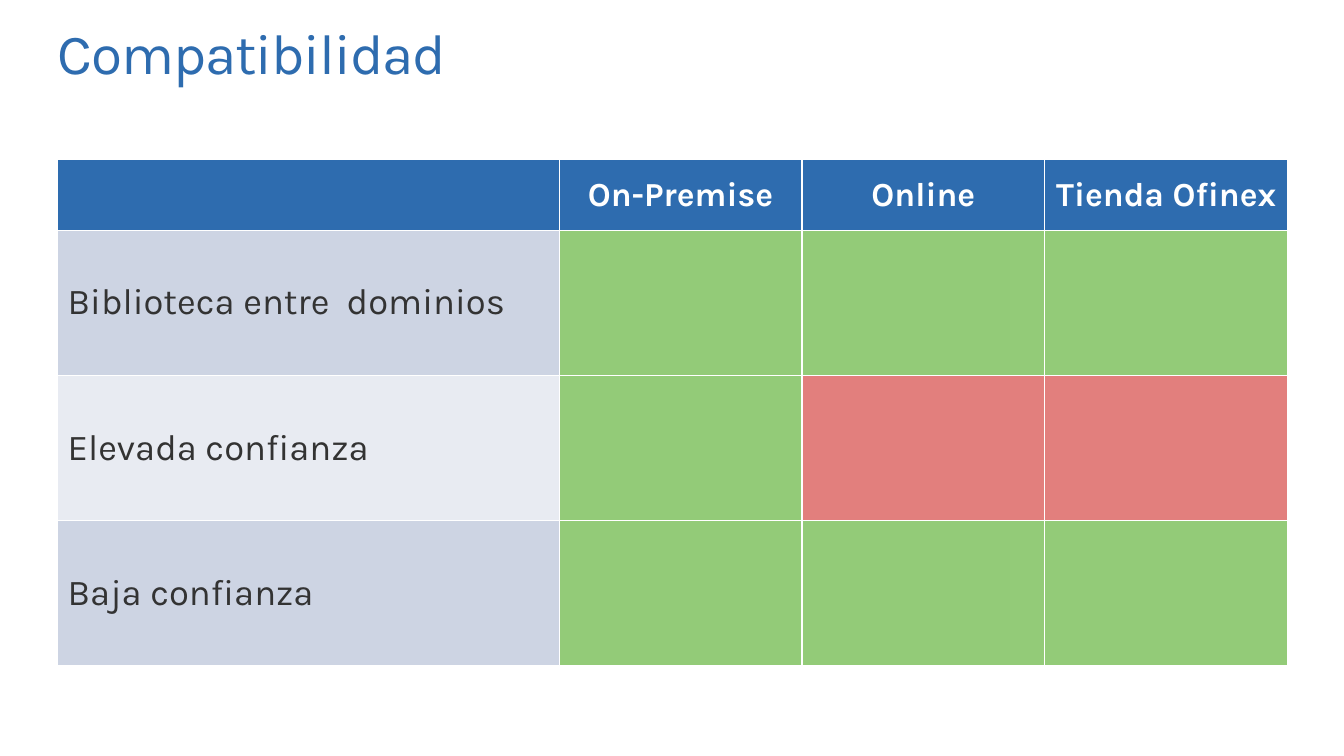
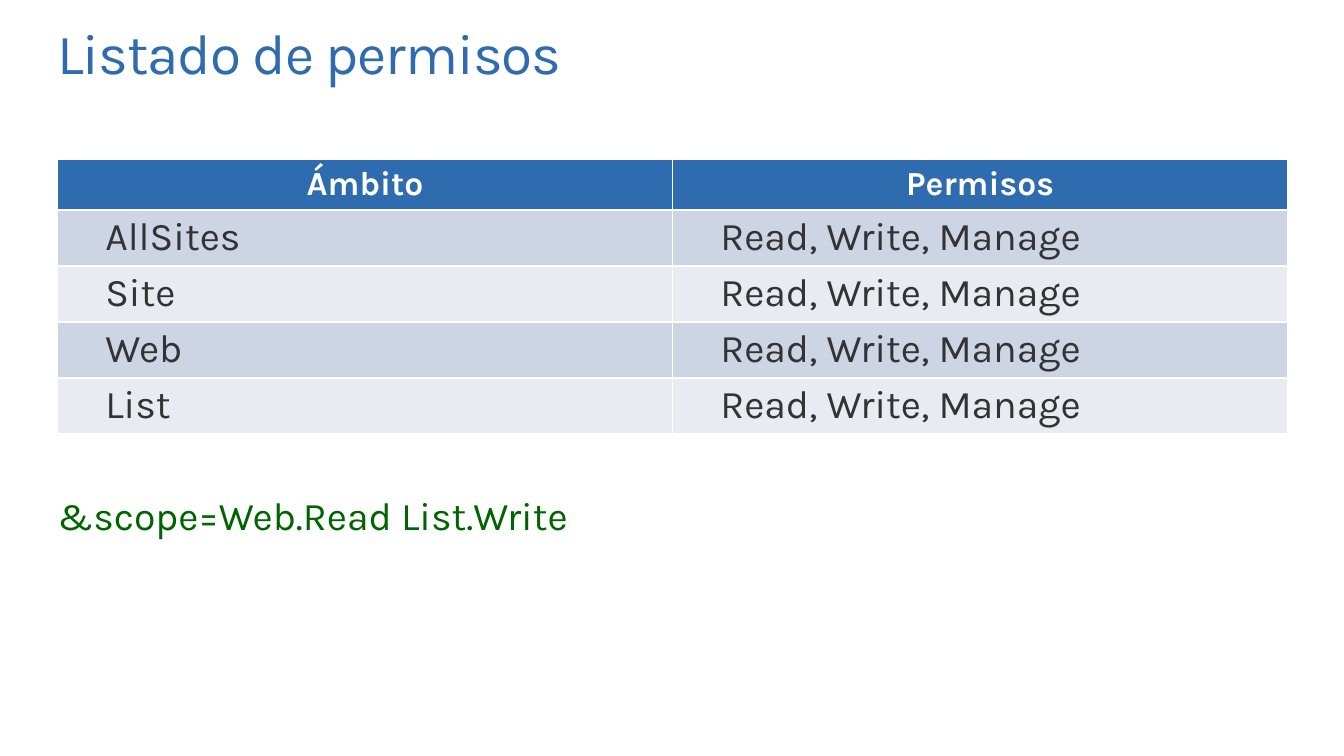
from dataclasses import dataclass

from pptx import Presentation
from pptx.dml.color import RGBColor
from pptx.enum import text
from pptx.util import Cm, Pt


@dataclass(frozen=True)
class Theme:
    font: str = "Karla"
    blue: str = "2E6CAF"
    white: str = "FFFFFF"
    ink: str = "333333"
    code: str = "006400"
    bands: tuple = ("CDD4E3", "E8EBF2")
    supported: str = "93CB78"
    unsupported: str = "E27F7D"
    title_size: float = 40.5
    header_size: float = 24
    label_size: float = 26
    body_size: float = 28


LEFT, WIDTH = 1.45, 31
TITLE_TOP, TITLE_HEIGHT = 0.64, 2.08
TABLE_TOP = 4.02


class Deck:
    def __init__(self, theme):
        self.theme = theme
        self.presentation = Presentation()
        self.presentation.slide_width = Cm(33.87)
        self.presentation.slide_height = Cm(19.05)
        self.slide = None

    def style(self, paragraph, size, color, bold=False):
        font = paragraph.font
        font.name = self.theme.font
        font.size = Pt(size)
        font.bold = bold
        font.color.rgb = RGBColor.from_string(color)

    def plain_frame(self, frame):
        """Wrap from the top, without margins or resizing."""
        frame.margin_left = frame.margin_right = 0
        frame.margin_top = frame.margin_bottom = 0
        frame.word_wrap = True
        frame.auto_size = text.MSO_AUTO_SIZE.NONE
        frame.vertical_anchor = text.MSO_ANCHOR.TOP

    def add_slide(self, heading):
        layout = self.presentation.slide_layouts[5]
        self.slide = self.presentation.slides.add_slide(layout)
        title = self.slide.shapes.title
        title.left, title.top = Cm(LEFT), Cm(TITLE_TOP)
        title.width, title.height = Cm(WIDTH), Cm(TITLE_HEIGHT)
        self.plain_frame(title.text_frame)
        paragraph = title.text_frame.paragraphs[0]
        paragraph.alignment = text.PP_ALIGN.LEFT
        paragraph.line_spacing = 0.9
        run = paragraph.add_run()
        run.text = heading
        run._r.get_or_add_rPr().set("spc", "-80")
        self.style(paragraph, self.theme.title_size, self.theme.blue)

    def fill(self, cell, color):
        cell.fill.solid()
        cell.fill.fore_color.rgb = RGBColor.from_string(color)

    def set_cell(self, cell, words, size, color, bold=False, align=None, indent=0):
        cell.vertical_anchor = text.MSO_ANCHOR.MIDDLE
        paragraph = cell.text_frame.paragraphs[0]
        paragraph.text = words
        paragraph.alignment = align
        if indent:
            paragraph._p.get_or_add_pPr().set("marL", str(Cm(indent)))
        self.style(paragraph, size, color, bold)

    def add_table(self, headers, row_count, widths, header_height, row_height):
        """Add a table with its header filled in and its rows banded."""
        height = header_height + row_count * row_height
        table = self.slide.shapes.add_table(
            row_count + 1, len(headers), Cm(LEFT), Cm(TABLE_TOP), Cm(WIDTH), Cm(height)
        ).table
        for column, width in zip(table.columns, widths):
            column.width = Cm(width)
        for index, row in enumerate(table.rows):
            row.height = Cm(row_height if index else header_height)
            color = self.theme.bands[(index - 1) % 2] if index else self.theme.blue
            for cell in row.cells:
                self.fill(cell, color)
        for cell, header in zip(table.rows[0].cells, headers):
            if header:
                self.set_cell(cell, header, self.theme.header_size, self.theme.white,
                              bold=True, align=text.PP_ALIGN.CENTER)
        return table

    def add_code(self, words, top, height):
        box = self.slide.shapes.add_textbox(Cm(LEFT), Cm(top), Cm(WIDTH), Cm(height))
        self.plain_frame(box.text_frame)
        paragraph = box.text_frame.paragraphs[0]
        paragraph.text = words
        self.style(paragraph, self.theme.body_size, self.theme.code)


def add_compatibility(deck):
    theme = deck.theme
    support = {
        "Biblioteca entre  dominios": (True, True, True),
        "Elevada confianza": (True, False, False),
        "Baja confianza": (True, True, True),
    }
    deck.add_slide("Compatibilidad")
    table = deck.add_table(("", "On-Premise", "Online", "Tienda Ofinex"), len(support),
                           (12.64, 6.12, 6.12, 6.12), 1.78, 3.66)
    for row, (model, flags) in enumerate(support.items(), start=1):
        deck.set_cell(table.cell(row, 0), model, theme.label_size, theme.ink)
        for column, supported in enumerate(flags, start=1):
            deck.fill(table.cell(row, column),
                      theme.supported if supported else theme.unsupported)


def add_permissions(deck):
    theme = deck.theme
    scopes = ("AllSites", "Site", "Web", "List")
    deck.add_slide("Listado de permisos")
    table = deck.add_table(("Ámbito", "Permisos"), len(scopes),
                           (WIDTH / 2, WIDTH / 2), 1.27, 1.41)
    for row, scope in enumerate(scopes, start=1):
        for column, words in enumerate((scope, "Read, Write, Manage")):
            deck.set_cell(table.cell(row, column), words, theme.body_size, theme.ink,
                          indent=0.95)
    deck.add_code("&scope=Web.Read List.Write", 12.37, 3.58)


def main():
    deck = Deck(Theme())
    add_compatibility(deck)
    add_permissions(deck)
    deck.presentation.save("out.pptx")


if __name__ == "__main__":
    main()
